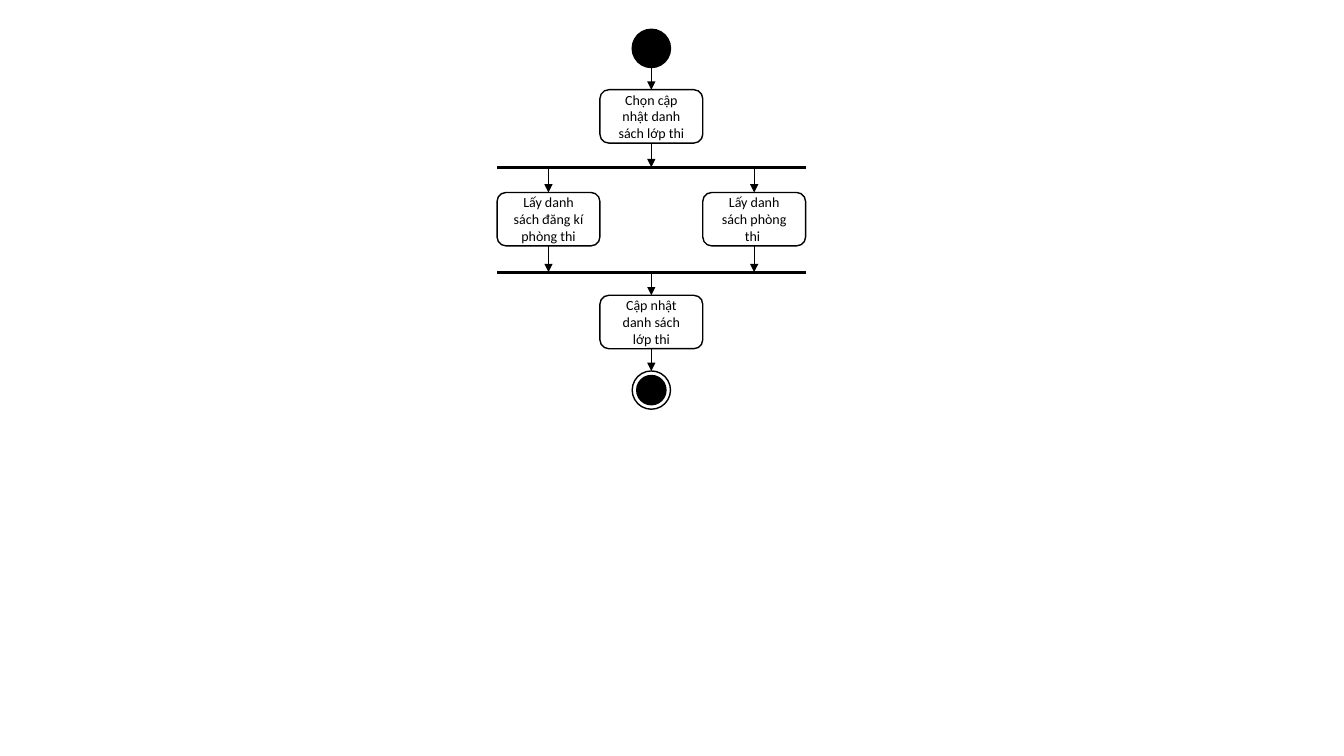
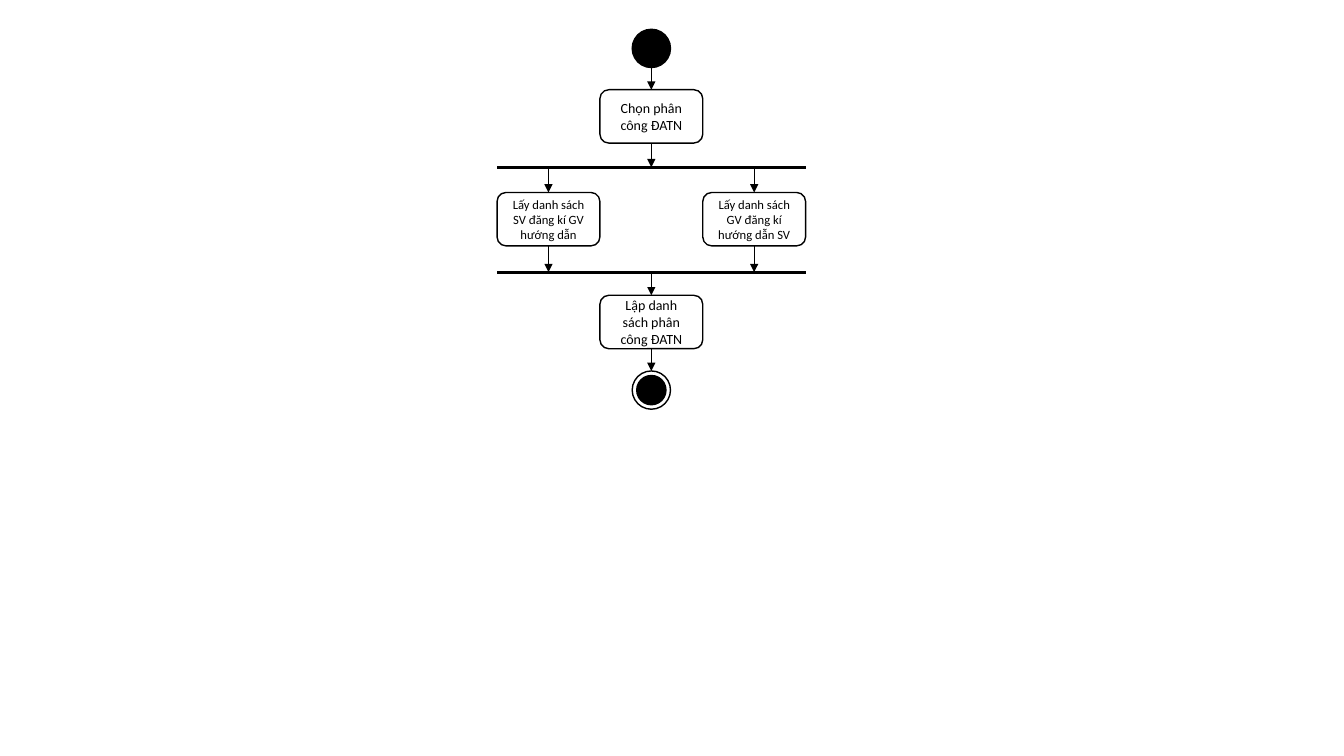
from lxml import etree
from pptx import Presentation
from pptx.dml import color
from pptx.enum import shapes, text
from pptx.oxml import ns
from pptx.util import Inches, Pt

BLACK, WHITE = "000000", "FFFFFF"
FONT = "Calibri"

# Diagram grid: three columns and three rows of actions
DIAGRAM_LEFT, DIAGRAM_TOP = 4.93, 0.29
COLUMN = ROW = 1.02
FIRST_ROW = 0.6
ACTION_HEIGHT = 0.53
FORK_Y, JOIN_Y, END_Y = 1.37, 2.41, 3.39
NODE_SIZE, NODE_CORE = 0.38, 0.29

DIAGRAMS = [
    {
        "first": "Chọn cập nhật danh sách lớp thi",
        "branches": ["Lấy danh sách đăng kí phòng thi", "Lấy danh sách phòng thi "],
        "last": "Cập nhật danh sách lớp thi",
        "branch_size": 10,
    },
    {
        "first": "Chọn phân công ĐATN",
        "branches": ["Lấy danh sách SV đăng kí GV hướng dẫn",
                     "Lấy danh sách GV đăng kí hướng dẫn SV"],
        "last": "Lập danh sách phân công ĐATN",
        "branch_size": 9,
    },
]


def rgb(value):
    return color.RGBColor.from_string(value)


def add_outlined(slide, kind, left, top, width, height, fill=WHITE):
    shape = slide.shapes.add_shape(
        kind, Inches(left), Inches(top), Inches(width), Inches(height))
    shape.shadow.inherit = False
    shape.fill.solid()
    shape.fill.fore_color.rgb = rgb(fill)
    shape.line.color.rgb = rgb(BLACK)
    shape.line.width = Pt(1)
    return shape


def write_text(shape, words, size=10, font=FONT, ink=BLACK):
    frame = shape.text_frame
    frame.word_wrap = True
    frame.vertical_anchor = text.MSO_ANCHOR.MIDDLE
    paragraph = frame.paragraphs[0]
    paragraph.alignment = text.PP_ALIGN.CENTER
    run = paragraph.add_run()
    run.text = words
    run.font.name = font
    run.font.size = Pt(size)
    run.font.color.rgb = rgb(ink)


def add_line(slide, start, end, width):
    line = slide.shapes.add_connector(
        shapes.MSO_CONNECTOR.STRAIGHT, *(Inches(value) for value in (*start, *end)))
    line.line.color.rgb = rgb(BLACK)
    line.line.width = Pt(width)
    etree.SubElement(line._element.spPr, ns.qn("a:effectLst"))
    return line


def add_arrow(slide, x, start_y, end_y, source=None, target=None):
    """Draw a downward arrow, joined to the shapes given."""
    arrow = add_line(slide, (x, start_y), (x, end_y), 0.5)
    etree.SubElement(arrow.line._get_or_add_ln(), ns.qn("a:tailEnd"), type="triangle")
    if source is not None:
        arrow.begin_connect(source, 2)
    if target is not None:
        arrow.end_connect(target, 0)


def add_node(slide, center_x, center_y, size, fill):
    return add_outlined(slide, shapes.MSO_SHAPE.OVAL, center_x - size / 2,
                        center_y - size / 2, size, size, fill)


def draw_activity(slide, left, top, first, branches, last, branch_size):
    def column_center(column):
        return left + (column + 0.5) * COLUMN

    def row_top(row):
        return top + FIRST_ROW + row * ROW

    def action(column, row, words, size=10):
        shape = add_outlined(slide, shapes.MSO_SHAPE.ROUNDED_RECTANGLE,
                             left + column * COLUMN, row_top(row), COLUMN, ACTION_HEIGHT)
        write_text(shape, words, size=size)
        return shape

    middle = column_center(1)
    fork, join, end = top + FORK_Y, top + JOIN_Y, top + END_Y

    # Start and end nodes
    add_node(slide, middle, top + NODE_SIZE / 2, NODE_SIZE, BLACK)
    end_node = add_node(slide, middle, end + NODE_SIZE / 2, NODE_SIZE, WHITE)
    add_node(slide, middle, end + NODE_SIZE / 2, NODE_CORE, BLACK)

    # Actions on the main path
    first_action = action(1, 0, first)
    last_action = action(1, 2, last)
    add_arrow(slide, middle, top + NODE_SIZE, row_top(0), target=first_action)
    add_arrow(slide, middle, row_top(0) + ACTION_HEIGHT, fork, source=first_action)
    add_arrow(slide, middle, join, row_top(2), target=last_action)
    add_arrow(slide, middle, row_top(2) + ACTION_HEIGHT, end, last_action, end_node)

    # Parallel branches
    for column, words in zip((0, 2), branches):
        branch = action(column, 1, words, branch_size)
        x = column_center(column)
        add_arrow(slide, x, fork, row_top(1), target=branch)
        add_arrow(slide, x, row_top(1) + ACTION_HEIGHT, join, source=branch)

    # Fork and join bars
    for y in (fork, join):
        add_line(slide, (left, y), (left + 3 * COLUMN, y), 2.25)


def main():
    presentation = Presentation()
    presentation.slide_width = Inches(13.33)
    presentation.slide_height = Inches(7.5)
    blank_layout = presentation.slide_layouts[6]
    for diagram in DIAGRAMS:
        slide = presentation.slides.add_slide(blank_layout)
        draw_activity(slide, DIAGRAM_LEFT, DIAGRAM_TOP, **diagram)
    presentation.save("out.pptx")


if __name__ == "__main__":
    main()
